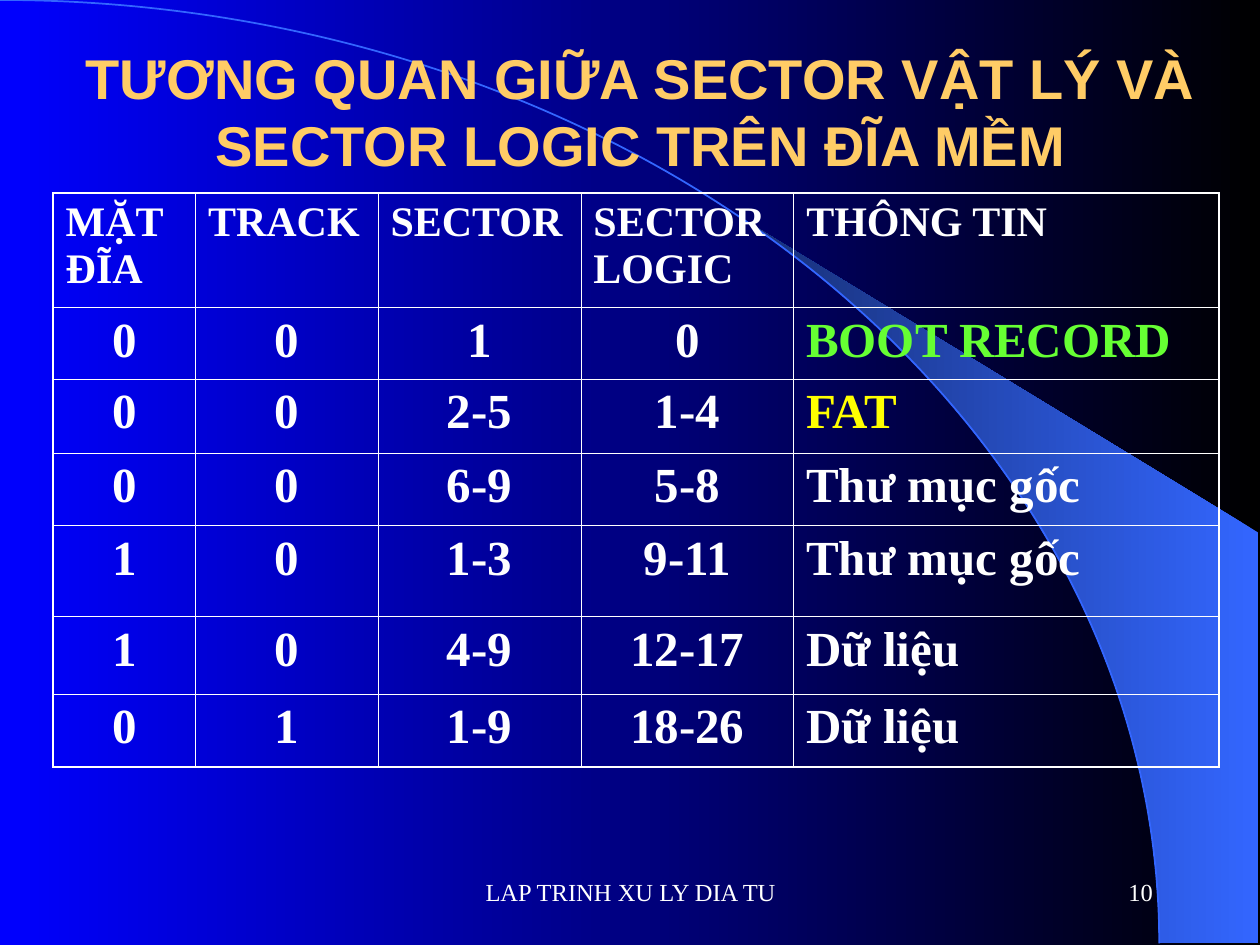
from math import asin, cos, sin

from lxml.etree import SubElement
from pptx import Presentation
from pptx.dml.color import RGBColor
from pptx.enum.shapes import MSO_SHAPE as Shape
from pptx.enum.text import MSO_ANCHOR as Anchor, PP_ALIGN as Align
from pptx.oxml.ns import qn
from pptx.util import Cm, Pt

WHITE, GOLD, GREEN, YELLOW = "FFFFFF", "FFCC66", "66FF33", "FFFF00"
BLACK, BLUE, SKY, NAVY = "000000", "0000FF", "3366FF", "172F75"
SERIF, SANS = "Times New Roman", "Arial"

# Content
TITLE = "TƯƠNG QUAN GIỮA SECTOR VẬT LÝ VÀ SECTOR LOGIC TRÊN ĐĨA MỀM"
ROWS = [
    ("MẶT ĐĨA", "TRACK", "SECTOR", "SECTOR LOGIC", "THÔNG TIN"),
    ("0", "0", "1", "0", "BOOT RECORD"),
    ("0", "0", "2-5", "1-4", "FAT"),
    ("0", "0", "6-9", "5-8", "Thư mục gốc"),
    ("1", "0", "1-3", "9-11", "Thư mục gốc"),
    ("1", "0", "4-9", "12-17", "Dữ liệu"),
    ("0", "1", "1-9", "18-26", "Dữ liệu"),
]
ACCENTS = {"BOOT RECORD": GREEN, "FAT": YELLOW}
FOOTER, PAGE = "LAP TRINH XU LY DIA TU", "10"

# Layout in centimetres
SLIDE_W, SLIDE_H = 25.4, 19.05
COL_WIDTHS = (2.87, 3.68, 4.09, 4.29, 8.57)
ROW_HEIGHTS = (2.3, 1.45, 1.49, 1.47, 1.82, 1.57, 1.47)
TABLE_LEFT, TABLE_TOP = 1.07, 3.89
ARC_RX, ARC_RY = 23.37, 19.02
WEDGE_TIP_X, WEDGE_RIGHT, WEDGE_RIGHT_TOP = 14.96, 25.37, 10.74
ARC_STEPS = 24


def rgb(color):
    return RGBColor.from_string(color)


def set_gradient(fill, right, left):
    fill.gradient()
    fill.gradient_angle = 180
    for stop, color in zip(fill.gradient_stops, (right, left)):
        stop.color.rgb = rgb(color)


def set_font(p, size, name, color, bold=False):
    p.font.size, p.font.name, p.font.bold = Pt(size), name, bold
    p.font.color.rgb = rgb(color)


def add_text(s, text, box, align, *font):
    tf = s.shapes.add_textbox(*map(Cm, box)).text_frame
    tf.word_wrap, tf.vertical_anchor = True, Anchor.MIDDLE
    p = tf.paragraphs[0]
    p.text, p.alignment = text, align
    set_font(p, *font)


def set_borders(cell, outer_sides):
    tc_pr = cell._tc.get_or_add_tcPr()
    for side in "LRTB":
        width = Pt(1.08 if side in outer_sides else 0.45)
        ln = SubElement(tc_pr, qn(f"a:ln{side}"), w=str(width))
        SubElement(SubElement(ln, qn("a:solidFill")), qn("a:srgbClr"), val=WHITE)


def add_backdrop(s):
    set_gradient(s.background.fill, BLACK, BLUE)

    # Wedge: straight outer edges, inner edge following the arc
    def arc_point(t):
        return Cm(ARC_RX * sin(t)), Cm(ARC_RY * (1 - cos(t)))

    start, end = asin(WEDGE_TIP_X / ARC_RX), asin(1)
    curve = [arc_point(start + (end - start) * i / ARC_STEPS)
             for i in range(ARC_STEPS + 1)]
    builder = s.shapes.build_freeform(*curve[0])
    builder.add_line_segments(curve[1:] + [
        (Cm(WEDGE_RIGHT), Cm(ARC_RY)), (Cm(WEDGE_RIGHT), Cm(WEDGE_RIGHT_TOP))])
    wedge = builder.convert_to_shape()
    set_gradient(wedge.fill, SKY, NAVY)
    wedge.line.fill.background()
    wedge.shadow.inherit = False

    # Quarter arc centred on the bottom left corner
    arc = s.shapes.add_shape(
        Shape.ARC, Cm(-ARC_RX), 0, Cm(2 * ARC_RX), Cm(2 * ARC_RY))
    arc.fill.background()
    arc.line.color.rgb, arc.line.width = rgb(SKY), Pt(1)
    arc.shadow.inherit = False


def add_sector_table(s):
    last_row, last_col = len(ROWS) - 1, len(COL_WIDTHS) - 1
    table = s.shapes.add_table(
        len(ROWS), len(COL_WIDTHS), Cm(TABLE_LEFT), Cm(TABLE_TOP),
        Cm(sum(COL_WIDTHS)), Cm(sum(ROW_HEIGHTS))).table
    table.first_row = table.horz_banding = False
    for column, width in zip(table.columns, COL_WIDTHS):
        column.width = Cm(width)
    for row, height in zip(table.rows, ROW_HEIGHTS):
        row.height = Cm(height)

    for i, row in enumerate(ROWS):
        for j, text in enumerate(row):
            cell = table.cell(i, j)
            edges = {"L": j == 0, "R": j == last_col,
                     "T": i == 0, "B": i == last_row}
            set_borders(cell, [side for side in edges if edges[side]])
            cell.fill.background()
            p = cell.text_frame.paragraphs[0]
            p.text = text
            p.alignment = Align.CENTER if i and j < last_col else Align.LEFT
            p.space_before = Pt(7 if i else 6)
            set_font(p, 28 if i else 24, SERIF, ACCENTS.get(text, WHITE), True)


def main():
    prs = Presentation()
    prs.slide_width, prs.slide_height = Cm(SLIDE_W), Cm(SLIDE_H)
    s = prs.slides.add_slide(prs.slide_layouts[6])
    add_backdrop(s)
    add_text(s, TITLE, (1.27, 0.64, 23.29, 3.18), Align.CENTER,
             32, SANS, GOLD, True)
    add_sector_table(s)
    # Footer
    add_text(s, FOOTER, (8.69, 17.35, 8.05, 1.27), Align.CENTER, 14, SERIF, WHITE)
    add_text(s, PAGE, (18.21, 17.35, 5.28, 1.27), Align.RIGHT, 14, SERIF, WHITE)
    prs.save("out.pptx")


if __name__ == "__main__":
    main()
